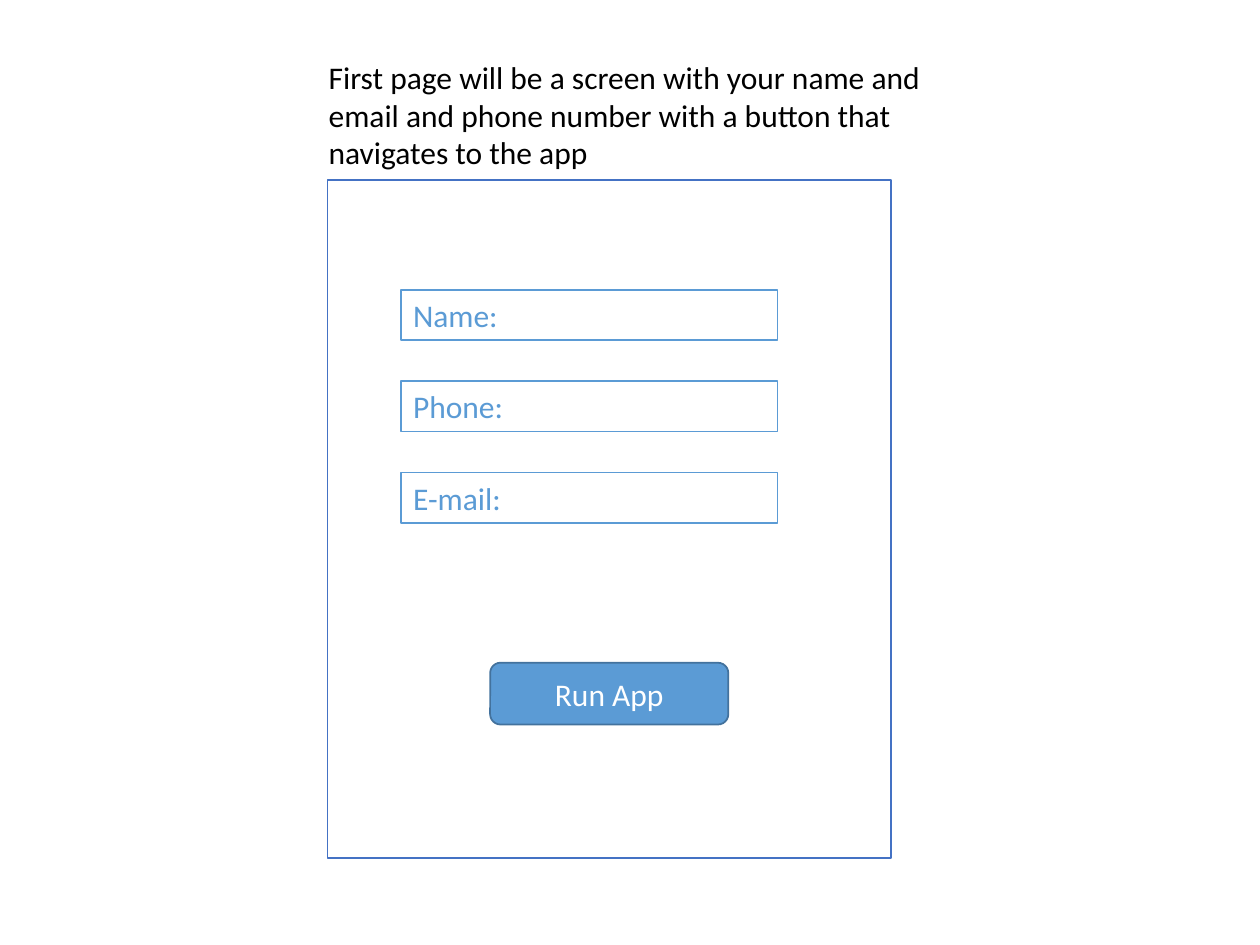
from pptx import Presentation
from pptx.dml.color import RGBColor
from pptx.enum.shapes import MSO_SHAPE
from pptx.enum.text import MSO_ANCHOR, PP_ALIGN
from pptx.util import Inches, Pt

CAPTION = ("First page will be a screen with your name and email and phone number "
           "with a button that navigates to the app")
FIELDS = ["Name:", "Phone:", "E-mail:"]
BUTTON = "Run App"
COLORS = {"text": "000000", "white": "FFFFFF", "frame": "4472C4",
          "accent": "5B9BD5", "button_line": "43729D"}
FIELD_TOP, FIELD_BOTTOM_TOP = 2.3, 3.75


def color(name):
    return RGBColor.from_string(COLORS[name])


def add_box(slide, preset, position, fill, line):
    shape = slide.shapes.add_shape(preset, *map(Inches, position))
    shape.shadow.inherit = False
    shape.fill.solid()
    shape.fill.fore_color.rgb = color(fill)
    shape.line.color.rgb = color(line)
    shape.line.width = Pt(1)
    return shape


def write(shape, text, font_color, alignment=PP_ALIGN.LEFT, anchor=MSO_ANCHOR.TOP):
    frame = shape.text_frame
    frame.word_wrap = True
    frame.vertical_anchor = anchor
    paragraph = frame.paragraphs[0]
    paragraph.text = text
    paragraph.alignment = alignment
    paragraph.font.name = "Calibri"
    paragraph.font.size = Pt(18)
    paragraph.font.color.rgb = color(font_color)


def main():
    presentation = Presentation()
    presentation.slide_width = Inches(10)
    presentation.slide_height = Inches(7.5)
    slide = presentation.slides.add_slide(presentation.slide_layouts[6])

    caption = slide.shapes.add_textbox(*map(Inches, (2.51, 0.41, 4.99, 1.3)))
    write(caption, CAPTION, "text")

    add_box(slide, MSO_SHAPE.RECTANGLE, (2.6, 1.43, 4.47, 5.38), "white", "frame")

    pitch = (FIELD_BOTTOM_TOP - FIELD_TOP) / (len(FIELDS) - 1)
    for index, label in enumerate(FIELDS):
        position = (3.18, FIELD_TOP + index * pitch, 2.99, 0.4)
        field = add_box(slide, MSO_SHAPE.RECTANGLE, position, "white", "accent")
        write(field, label, "accent")

    button = add_box(slide, MSO_SHAPE.ROUNDED_RECTANGLE, (3.89, 5.26, 1.89, 0.49),
                     "accent", "button_line")
    write(button, BUTTON, "white", PP_ALIGN.CENTER, MSO_ANCHOR.MIDDLE)

    presentation.save("out.pptx")


if __name__ == "__main__":
    main()
